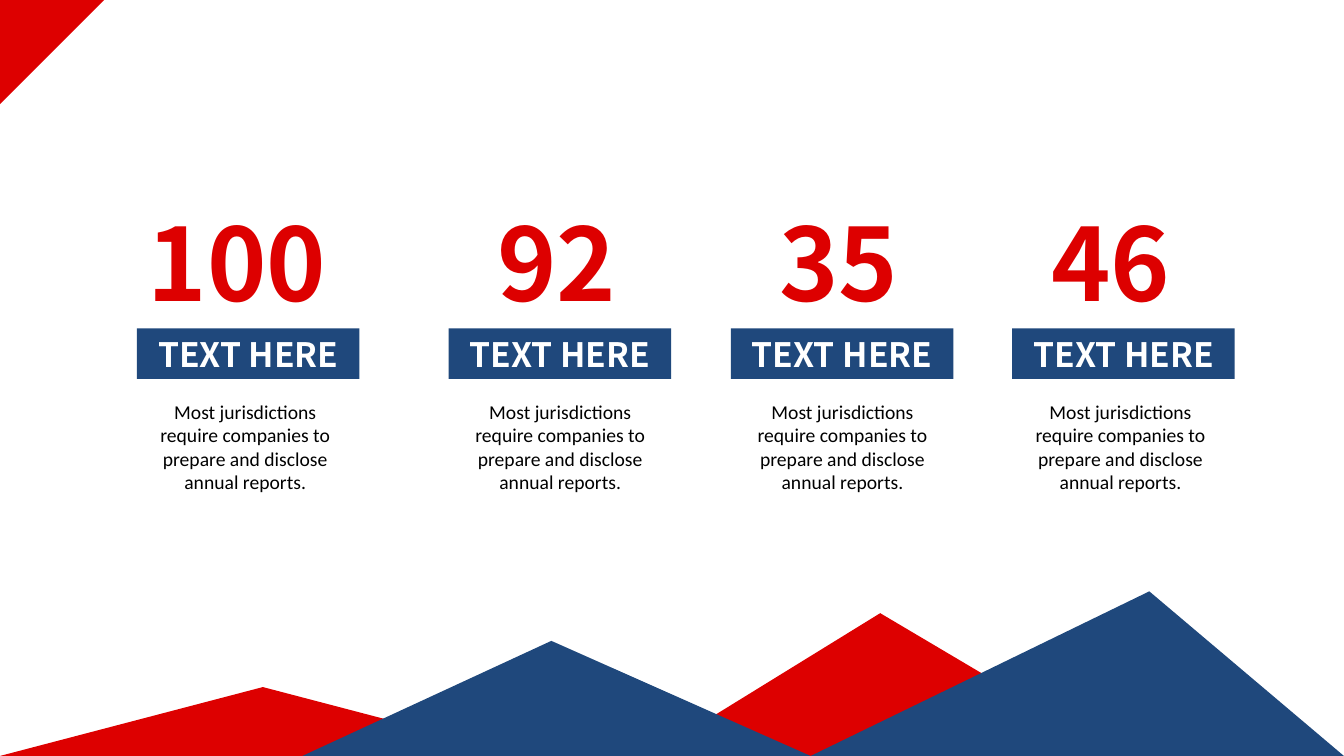
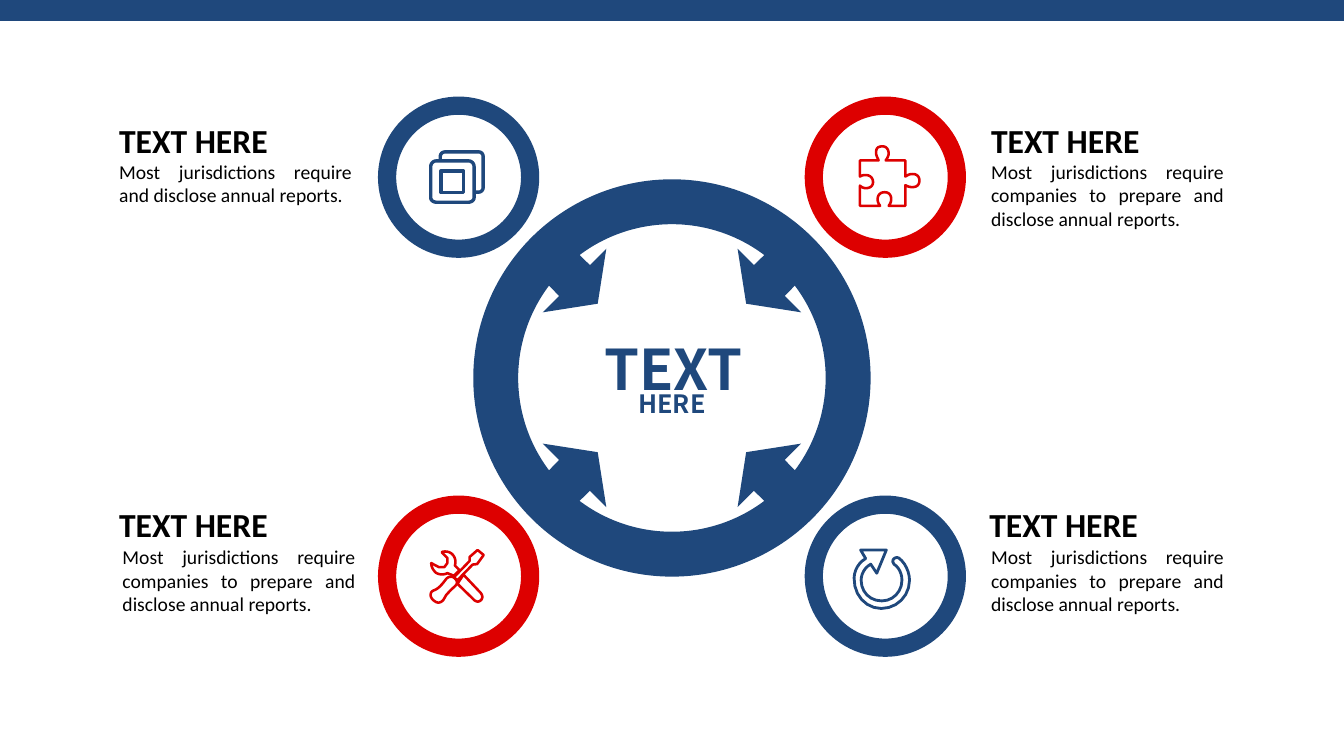
import math
from dataclasses import dataclass

import pptx
import pptx.dml.color
import pptx.enum.shapes
import pptx.enum.text
import pptx.util

COLUMNS, ROWS = 160, 90
CELL = pptx.util.Inches(7.5) / ROWS
ICON_CELL = pptx.util.Inches(0.01)

BLUE, RED, WHITE, BLACK = "1F487C", "DD0000", "FFFFFF", "000000"
DISPLAY, BODY = "Noto Sans CJK SC", "Calibri"
PRESET = pptx.enum.shapes.MSO_SHAPE
ALIGN = pptx.enum.text.PP_ALIGN

LABEL = "TEXT HERE"
BLURB = "Most jurisdictions require companies to prepare and disclose annual reports."
SHORT_BLURB = "Most jurisdictions require and disclose annual reports."

NUMBER_FONT = {"name": DISPLAY, "size": pptx.util.Pt(72), "bold": True}
BANNER_FONT = {"name": DISPLAY, "size": pptx.util.Pt(24), "bold": True}
HUB_FONT = {"name": DISPLAY, "size": pptx.util.Pt(40), "bold": True}
HUB_SMALL_FONT = {"name": DISPLAY, "size": pptx.util.Pt(18), "bold": True}
HEADING_FONT = {"name": BODY, "size": pptx.util.Pt(24), "bold": True}
BLURB_FONT = {"name": BODY, "size": pptx.util.Pt(14), "bold": False}

LAYERS_ICON = (
    "M 1.5 16 C 1.5 13 4 10.5 7 10.5 L 39 10.5 C 42 10.5 44.5 13 44.5 16 "
    "L 44.5 47 C 44.5 49.5 42 51.5 39 51.5 L 7 51.5 C 4 51.5 1.5 49.5 1.5 47 Z "
    "M 11.5 20.5 L 34 20.5 L 34 42 L 11.5 42 Z "
    "M 11 9 L 11 6 C 11 3.5 13 1.5 16 1.5 L 49 1.5 C 51.5 1.5 53.5 3.5 53.5 6 "
    "L 53.5 37 C 53.5 39.5 51.5 41.5 49 41.5 L 46 41.5"
)
PUZZLE_ICON = (
    "M 24 1 C 18 1 17.5 4 17.5 7.5 C 17.5 10 19 12.5 20 15 L 1.5 15 L 1.5 31 "
    "C 4 29.5 5.5 29.5 7.5 29.5 C 12 29.5 14.5 33 14.5 36.5 "
    "C 14.5 40 12 42.5 7.5 42.5 C 5 42.5 3 41.5 1.5 40 L 1.5 60 L 21.5 60 "
    "C 20 58 19 56 19 53.5 C 19 49 22 46.5 26 46.5 C 30 46.5 32.5 49 32.5 53.5 "
    "C 32.5 56 31.5 58 30 60 L 46.5 60 L 46.5 39.5 C 49 41 51 41.5 54 41.5 "
    "C 58 41.5 60.5 39 60.5 35 C 60.5 31 58 28.5 54 28.5 C 51 28.5 49.5 29 46.5 31 "
    "L 46.5 15 L 27 15 C 28.5 13 30 10.5 30 8 C 30 4 27.5 1 24 1 Z"
)
TOOLS_ICON = (
    "M 48 1.5 L 54 6.5 L 47.5 15.5 L 43 16 L 28 31.5 L 24.5 28.5 L 40 12.5 L 40 8.5 Z "
    "M 16 3 C 20 3 22.5 5 24 7 C 26 10 26.5 13 25.5 17 L 30 21.5 L 24.5 27 L 18 24.5 "
    "C 14 26.5 9.5 26 6.5 24 C 3.5 21 2 18 2 14.5 L 9.5 18.5 L 15 18.5 L 18 14.5 "
    "L 18 9.5 L 12.5 4 C 13 3 14.5 3 16 3 Z "
    "M 34 26 L 51 44 C 53.5 47 53 50 51 51.5 C 49 53.5 46.5 52.5 45 51.5 L 28 35 Z "
    "M 22 28 C 25 28 28 32 27.5 34.5 C 27 37 24 38 17 46 C 15 49 14.5 51 13 52 "
    "C 11 54 8 54.5 5 52 C 2 50 1 47 1.5 45 C 2 42 4 42 7 40.5 "
    "C 11 38 14 34 17 30 C 18.5 28.5 20 28 22 28 Z"
)
REFRESH_ICON = (
    "M 13 10 C 6 14 2 21 1.5 29 C 1 46 13 59.5 28.5 59.5 C 44 59.5 56.5 47 56.5 31.5 "
    "C 56.5 23 52 14 46 9.5 C 43 7.5 37.5 11 41 15.5 C 46 18.5 49 25 49 31.5 "
    "C 49 43 40 52 29 52 C 17 52 8.5 43 8.5 31.5 C 8.5 25 12 19 18 15.5 "
    "L 24 24.5 L 33.5 1.5 L 8 1.5 Z"
)

Point = tuple[float, float]


@dataclass(frozen=True)
class Area:
    left: float
    top: float
    width: float
    height: float

    def emu(self) -> list[int]:
        return [round(v * CELL) for v in (self.left, self.top, self.width, self.height)]


@dataclass(frozen=True)
class Contour:
    points: list[Point]
    closed: bool


@dataclass(frozen=True)
class Statistic:
    value: str
    number_left: float
    number_width: float
    banner_left: float
    blurb_left: float


@dataclass(frozen=True)
class Mountain:
    left: float
    top: float
    width: float
    peak: float
    color: str


@dataclass(frozen=True)
class Topic:
    side: int
    ring_row: float
    color: str
    icon: str
    icon_left: float
    icon_top: float
    stroke: float
    heading: Point
    blurb: Point
    text: str


STATISTICS = [
    Statistic("100", 16.4, 26.3, 16.3, 16.3),
    Statistic("92", 58, 17.3, 53.4, 53.8),
    Statistic("35", 91.6, 17.3, 87, 87.4),
    Statistic("46", 124, 19.4, 120.5, 120.5),
]
MOUNTAINS = [
    Mountain(0, 81.8, 62.6, 0.5, RED),
    Mountain(77.2, 73, 56.3, 0.49, RED),
    Mountain(96.5, 70.4, 63.5, 0.635, BLUE),
    Mountain(36, 76.3, 60.5, 0.49, BLUE),
]
TOPICS = [
    Topic(-1, 21.1, BLUE, LAYERS_ICON, 51.1, 17.9, 2.4, (13, 13.7), (13, 18.4), SHORT_BLURB),
    Topic(1, 21.1, RED, PUZZLE_ICON, 102.2, 17.3, 1.8, (116.8, 13.7), (116.8, 18.4), BLURB),
    Topic(-1, 68.6, RED, TOOLS_ICON, 51.1, 65.3, 1.8, (13, 59.4), (13.4, 64.3), BLURB),
    Topic(1, 68.6, BLUE, REFRESH_ICON, 101.5, 65.3, 2, (116.6, 59.4), (116.8, 64.3), BLURB),
]
HUB: Point = (COLUMNS / 2, ROWS / 2)
HUB_SIZE, RING_SIZE, RING_OFFSET, RING_BAND = 47.3, 19.2, 25.4, 0.113
ARROW = [(12.5, 0), (16.4, 5.35), (16.4, 2.6), (19.3, 2.55),
         (19.3, -2.55), (16.4, -2.6), (16.4, -5.35)]


def rgb(code: str) -> pptx.dml.color.RGBColor:
    return pptx.dml.color.RGBColor.from_string(code)


def paint(shape, color: str) -> None:
    shape.shadow.inherit = False
    shape.fill.solid()
    shape.fill.fore_color.rgb = rgb(color)
    shape.line.fill.background()


def add_preset(page, kind, area: Area, color: str, *adjustments: float):
    shape = page.shapes.add_shape(kind, *area.emu())
    paint(shape, color)
    for index, value in enumerate(adjustments):
        shape.adjustments[index] = value
    return shape


def add_ring(page, center: Point, size: float, color: str) -> None:
    area = Area(center[0] - size / 2, center[1] - size / 2, size, size)
    add_preset(page, PRESET.DONUT, area, color, RING_BAND)


def write(box, text: str, font: dict, color: str, align, wrap: bool = True) -> None:
    box.text_frame.word_wrap = wrap
    para = box.text_frame.paragraphs[0]
    para.alignment = align
    span = para.add_run()
    span.text = text
    for name, value in font.items():
        setattr(span.font, name, value)
    span.font.color.rgb = rgb(color)


def add_text(page, area: Area, text: str, font: dict, color: str, align, wrap: bool = True) -> None:
    write(page.shapes.add_textbox(*area.emu()), text, font, color, align, wrap)


def bend(points: list[Point], steps: int = 6) -> list[Point]:
    curve = []
    for step in range(1, steps + 1):
        t = step / steps
        weights = [math.comb(3, k) * t**k * (1 - t) ** (3 - k) for k in range(4)]
        curve.append(tuple(sum(w * p[axis] for w, p in zip(weights, points)) for axis in (0, 1)))
    return curve


def read_contours(drawing: str) -> list[Contour]:
    contours = []
    for part in drawing.split("M")[1:]:
        tokens = iter(part.replace("Z", "").split())
        points = [(float(next(tokens)), float(next(tokens)))]
        for command in tokens:
            count = 3 if command == "C" else 1
            ends = [(float(next(tokens)), float(next(tokens))) for _ in range(count)]
            points += bend([points[-1], *ends]) if command == "C" else ends
        contours.append(Contour(points, "Z" in part))
    return contours


def add_outline(page, contours: list[Contour], origin: Point, unit: float):
    def place(point: Point) -> Point:
        return tuple(start * CELL + value * unit for start, value in zip(origin, point))

    builder = page.shapes.build_freeform(*place(contours[0].points[0]), scale=1.0)
    for index, contour in enumerate(contours):
        first, *rest = map(place, contour.points)
        if index:
            builder.move_to(*first)
        builder.add_line_segments(rest, close=contour.closed)
    return builder.convert_to_shape()


def add_icon(page, topic: Topic) -> None:
    origin = (topic.icon_left, topic.icon_top)
    icon = add_outline(page, read_contours(topic.icon), origin, ICON_CELL)
    icon.shadow.inherit = False
    icon.fill.background()
    icon.line.color.rgb = rgb(topic.color)
    icon.line.width = pptx.util.Pt(topic.stroke)


def add_arrow(page, degrees: float) -> None:
    c, s = math.cos(math.radians(degrees)), math.sin(math.radians(degrees))
    points = [(out * c - across * s, out * s + across * c) for out, across in ARROW]
    paint(add_outline(page, [Contour(points, True)], HUB, CELL), BLUE)


def draw_statistics(page) -> None:
    for item in STATISTICS:
        number = Area(item.number_left, 23.3, item.number_width, 15.7)
        add_text(page, number, item.value, NUMBER_FONT, RED, ALIGN.LEFT)
        banner = add_preset(page, PRESET.RECTANGLE, Area(item.banner_left, 39.1, 26.5, 6), BLUE)
        write(banner, LABEL, BANNER_FONT, WHITE, ALIGN.CENTER)
        blurb = Area(item.blurb_left, 47, 25.8, 12.5)
        add_text(page, blurb, BLURB, BLURB_FONT, BLACK, ALIGN.CENTER)
    for item in MOUNTAINS:
        area = Area(item.left, item.top, item.width, ROWS - item.top)
        add_preset(page, PRESET.ISOSCELES_TRIANGLE, area, item.color, item.peak)
    corner = add_preset(page, PRESET.RIGHT_TRIANGLE, Area(0, 0, 12.4, 12.4), RED)
    corner.rotation = 90


def draw_cycle(page) -> None:
    add_preset(page, PRESET.RECTANGLE, Area(0, 0, COLUMNS, 2.5), BLUE)
    for degrees in range(45, 360, 90):
        add_arrow(page, degrees)
    add_ring(page, HUB, HUB_SIZE, BLUE)
    add_text(page, Area(68.6, 39.2, 23.2, 9.2), "TEXT", HUB_FONT, BLUE, ALIGN.CENTER)
    add_text(page, Area(74.8, 45.7, 10.4, 4.8), "HERE", HUB_SMALL_FONT, BLUE, ALIGN.CENTER, False)
    for topic in TOPICS:
        add_ring(page, (HUB[0] + topic.side * RING_OFFSET, topic.ring_row), RING_SIZE, topic.color)
        add_icon(page, topic)
        add_text(page, Area(*topic.heading, 21.4, 6), LABEL, HEADING_FONT, BLACK, ALIGN.JUSTIFY)
        add_text(page, Area(*topic.blurb, 30.1, 9.7), topic.text, BLURB_FONT, BLACK, ALIGN.JUSTIFY)


def main() -> None:
    deck = pptx.Presentation()
    deck.slide_width = round(COLUMNS * CELL)
    deck.slide_height = round(ROWS * CELL)
    for draw in (draw_statistics, draw_cycle):
        draw(deck.slides.add_slide(deck.slide_layouts[6]))
    deck.save("out.pptx")


if __name__ == "__main__":
    main()
